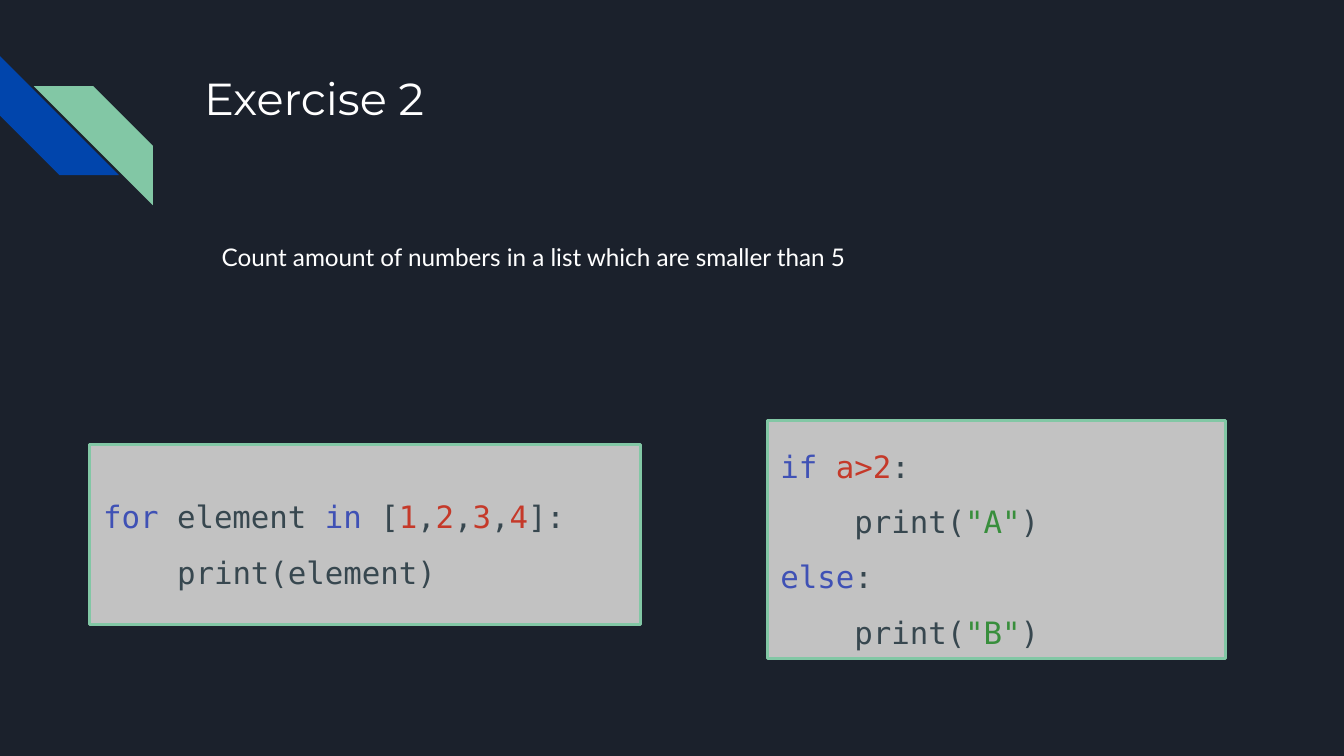
from pptx import Presentation
from pptx.dml.color import RGBColor
from pptx.enum.shapes import MSO_SHAPE
from pptx.enum.text import MSO_ANCHOR, PP_ALIGN
from pptx.util import Cm, Pt

STRIPE = MSO_SHAPE.DIAGONAL_STRIPE
RECTANGLE = MSO_SHAPE.RECTANGLE
TOP, MIDDLE = MSO_ANCHOR.TOP, MSO_ANCHOR.MIDDLE
LEFT = PP_ALIGN.LEFT

NAVY, WHITE, GREY = "1B212C", "FFFFFF", "C2C2C2"
BLUE, GREEN = "0145AC", "82C7A5"
KEYWORD, PLAIN, VALUE, STRING = "3F51B5", "37474F", "C53929", "388E3C"
INSET = Cm(0.25)
STRIPE_SIZE = 2.25


def rgb(color):
    return RGBColor.from_string(color)


def add_stripe(slide, left, top, color, rotation=0, mirrored=False):
    stripe = slide.shapes.add_shape(
        STRIPE, Cm(left), Cm(top), Cm(STRIPE_SIZE), Cm(STRIPE_SIZE))
    stripe.adjustments[0] = 0.5
    stripe.shadow.inherit = False
    stripe.fill.solid()
    stripe.fill.fore_color.rgb = rgb(color)
    stripe.line.fill.background()
    stripe.rotation = rotation
    if mirrored:
        stripe._element.spPr.xfrm.set("flipH", "1")


def prepare_frame(frame, anchor):
    frame.word_wrap = True
    frame.vertical_anchor = anchor
    frame.margin_left = frame.margin_right = INSET
    frame.margin_top = frame.margin_bottom = INSET


def format_run(run, font, size, color):
    run.font.name = font
    run.font.size = Pt(size)
    run.font.color.rgb = rgb(color)


def add_text(slide, left, top, width, height, text, font, size):
    box = slide.shapes.add_textbox(Cm(left), Cm(top), Cm(width), Cm(height))
    prepare_frame(box.text_frame, TOP)
    paragraph = box.text_frame.paragraphs[0]
    paragraph.text = text
    format_run(paragraph.runs[0], font, size, WHITE)
    return paragraph


def add_code(slide, left, top, width, height, lines):
    """Draw a framed code sample; each line is a list of (text, color) tokens."""
    panel = slide.shapes.add_shape(
        RECTANGLE, Cm(left), Cm(top), Cm(width), Cm(height))
    panel.shadow.inherit = False
    panel.fill.solid()
    panel.fill.fore_color.rgb = rgb(GREY)
    panel.line.color.rgb = rgb(GREEN)
    panel.line.width = Pt(1.5)
    frame = panel.text_frame
    prepare_frame(frame, MIDDLE)
    for index, tokens in enumerate(lines):
        paragraph = frame.add_paragraph() if index else frame.paragraphs[0]
        paragraph.alignment = LEFT
        paragraph.line_spacing = 1.5
        for text, color in tokens:
            run = paragraph.add_run()
            run.text = text
            format_run(run, "DejaVu Sans Mono", 16.5, color)


def print_line(letter):
    return [("    print(", PLAIN), (f'"{letter}"', STRING), (")", PLAIN)]


def main():
    prs = Presentation()
    prs.slide_width, prs.slide_height = Cm(25.4), Cm(14.29)
    slide = prs.slides.add_slide(prs.slide_layouts[6])
    slide.background.fill.solid()
    slide.background.fill.fore_color.rgb = rgb(NAVY)

    add_stripe(slide, 0, 1.06, BLUE, rotation=270)
    add_stripe(slide, 0.64, 1.63, GREEN, mirrored=True)

    add_text(slide, 3.61, 1.09, 19.56, 2.54, "Exercise 2", "Montserrat", 24)
    task = add_text(slide, 3.94, 4.24, 19.56, 2.69,
                    "Count amount of numbers in a list which are smaller than 5",
                    "Lato", 13)
    task.line_spacing = 1.15
    task.space_after = Pt(12)

    loop_header = [("for", KEYWORD), (" element ", PLAIN), ("in", KEYWORD), (" [", PLAIN)]
    for number in "1234":
        separator = "]:" if number == "4" else ","
        loop_header += [(number, VALUE), (separator, PLAIN)]
    add_code(slide, 1.7, 8.41, 10.41, 3.4,
             [loop_header, [("    print(element)", PLAIN)]])

    add_code(slide, 14.5, 7.95, 8.66, 4.5, [
        [("if ", KEYWORD), ("a>2", VALUE), (":", PLAIN)],
        print_line("A"),
        [("else", KEYWORD), (":", PLAIN)],
        print_line("B"),
    ])

    prs.save("out.pptx")


if __name__ == "__main__":
    main()
